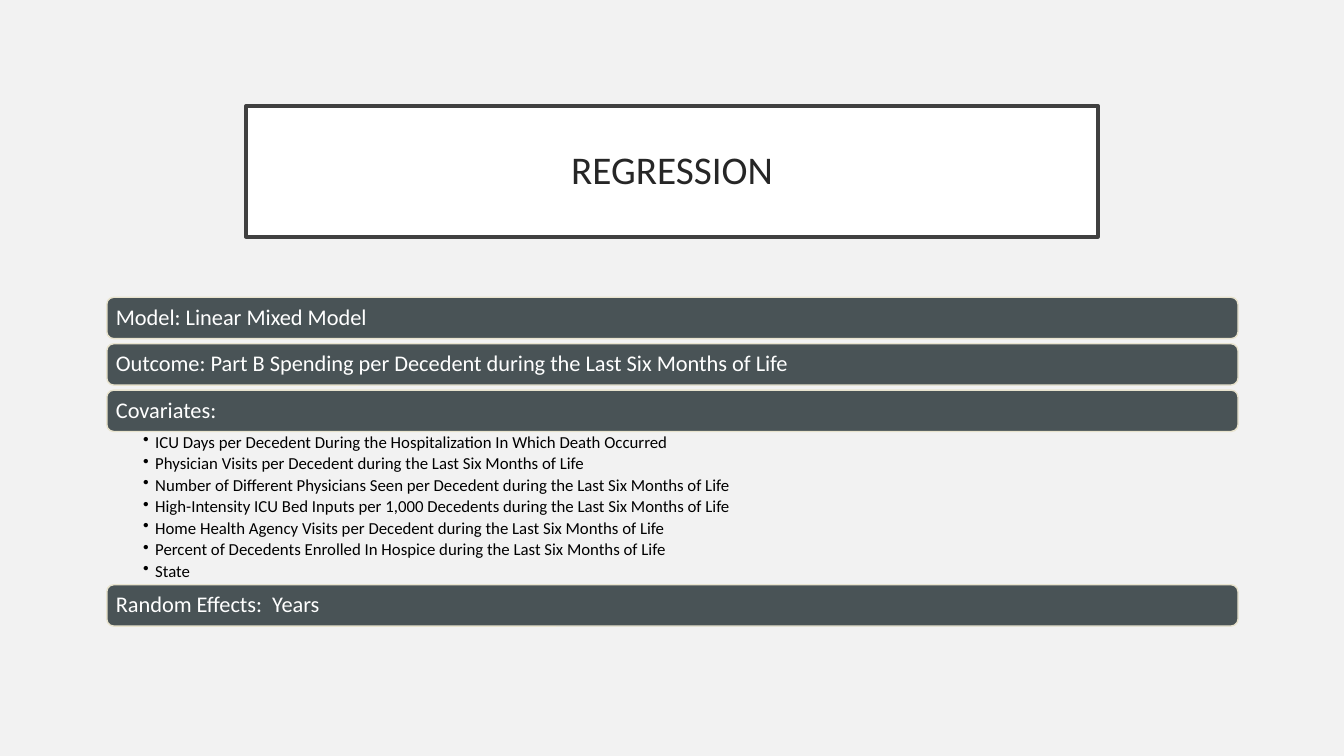
from dataclasses import dataclass

from lxml import etree
from pptx import Presentation
from pptx import util as u
from pptx.dml.color import RGBColor
from pptx.enum import shapes, text
from pptx.oxml import ns


@dataclass(frozen=True)
class Theme:
    font: str = "Calibri"
    background: str = "F2F2F2"
    title_fill: str = "FFFFFF"
    title_line: str = "404040"
    title_text: str = "262626"
    bar_fill: str = "495356"
    bar_line: str = "E8E3CE"
    bar_text: str = "FFFFFF"
    detail_text: str = "000000"
    title_size: int = 28
    bar_size: int = 16
    detail_size: int = 12


THEME = Theme()
WIDTH, HEIGHT = u.Inches(13.33), u.Inches(7.5)
BODY_LEFT, BODY_WIDTH, BODY_TOP = 7.95, 84.17, 39.33
BAR_HEIGHT, BAR_GAP, DETAIL_HEIGHT = 5.47, 0.67, 20.27

COVARIATES = [
    "ICU Days per Decedent During the Hospitalization In Which Death Occurred",
    "Physician Visits per Decedent during the Last Six Months of Life",
    "Number of Different Physicians Seen per Decedent during the Last Six Months of Life",
    "High-Intensity ICU Bed Inputs per 1,000 Decedents during the Last Six Months of Life",
    "Home Health Agency Visits per Decedent during the Last Six Months of Life",
    "Percent of Decedents Enrolled In Hospice during the Last Six Months of Life",
    "State",
]
SECTIONS = [
    ("Model: Linear Mixed Model", []),
    ("Outcome: Part B Spending per Decedent during the Last Six Months of Life", []),
    ("Covariates:", COVARIATES),
    ("Random Effects:  Years", []),
]


def place(left, top, width, height):
    return [round(share * side / 100) for share, side in
            ((left, WIDTH), (top, HEIGHT), (width, WIDTH), (height, HEIGHT))]


def set_frame(frame, insets, anchor):
    frame.word_wrap = True
    frame.vertical_anchor = anchor
    frame.margin_left, frame.margin_top, frame.margin_right, frame.margin_bottom = map(u.Inches, insets)


def style_paragraph(paragraph, size, color, alignment=text.PP_ALIGN.LEFT):
    paragraph.alignment = alignment
    paragraph.line_spacing = 0.9
    paragraph.font.name = THEME.font
    paragraph.font.size = u.Pt(size)
    paragraph.font.color.rgb = RGBColor.from_string(color)


def add_panel(slide, kind, box, fill, line, line_width, inset, label, size, color, alignment):
    shape = slide.shapes.add_shape(kind, *place(*box))
    shape.shadow.inherit = False
    shape.fill.solid()
    shape.fill.fore_color.rgb = RGBColor.from_string(fill)
    shape.line.color.rgb = RGBColor.from_string(line)
    shape.line.width = u.Pt(line_width)
    set_frame(shape.text_frame, [inset] * 4, text.MSO_ANCHOR.MIDDLE)
    paragraph = shape.text_frame.paragraphs[0]
    paragraph.text = label
    style_paragraph(paragraph, size, color, alignment)
    return shape


def add_title(slide, label):
    add_panel(slide, shapes.MSO_SHAPE.RECTANGLE, (18.3, 14, 63.4, 17.33),
              THEME.title_fill, THEME.title_line, 2.5, 0.2,
              label, THEME.title_size, THEME.title_text, text.PP_ALIGN.CENTER)


def add_bar(slide, top, label):
    bar = add_panel(slide, shapes.MSO_SHAPE.ROUNDED_RECTANGLE,
                    (BODY_LEFT, top, BODY_WIDTH, BAR_HEIGHT),
                    THEME.bar_fill, THEME.bar_line, 1, 0.07,
                    label, THEME.bar_size, THEME.bar_text, text.PP_ALIGN.LEFT)
    bar.adjustments[0] = 0.167


def add_bullet(paragraph):
    properties = paragraph._p.get_or_add_pPr()
    indent = u.Inches(0.12)
    properties.set("marL", str(indent))
    properties.set("indent", str(-indent))
    color = etree.SubElement(properties, ns.qn("a:buClr"))
    etree.SubElement(color, ns.qn("a:srgbClr"), val=THEME.detail_text)
    etree.SubElement(properties, ns.qn("a:buChar"), char="•")


def add_details(slide, top, items):
    box = slide.shapes.add_textbox(*place(BODY_LEFT, top, BODY_WIDTH, DETAIL_HEIGHT))
    frame = box.text_frame
    set_frame(frame, (0.36, 0.02, 0.12, 0.02), text.MSO_ANCHOR.TOP)
    for index, item in enumerate(items):
        paragraph = frame.add_paragraph() if index else frame.paragraphs[0]
        paragraph.text = item
        paragraph.level = 1
        add_bullet(paragraph)
        style_paragraph(paragraph, THEME.detail_size, THEME.detail_text)
        paragraph.space_before = u.Pt(2.4 if index else 0)


def main():
    presentation = Presentation()
    presentation.slide_width, presentation.slide_height = WIDTH, HEIGHT
    slide = presentation.slides.add_slide(presentation.slide_layouts[6])
    slide.background.fill.solid()
    slide.background.fill.fore_color.rgb = RGBColor.from_string(THEME.background)
    add_title(slide, "REGRESSION")
    top = BODY_TOP
    for label, details in SECTIONS:
        add_bar(slide, top, label)
        top += BAR_HEIGHT
        if details:
            add_details(slide, top, details)
            top += DETAIL_HEIGHT
        else:
            top += BAR_GAP
    presentation.save("out.pptx")


if __name__ == "__main__":
    main()
